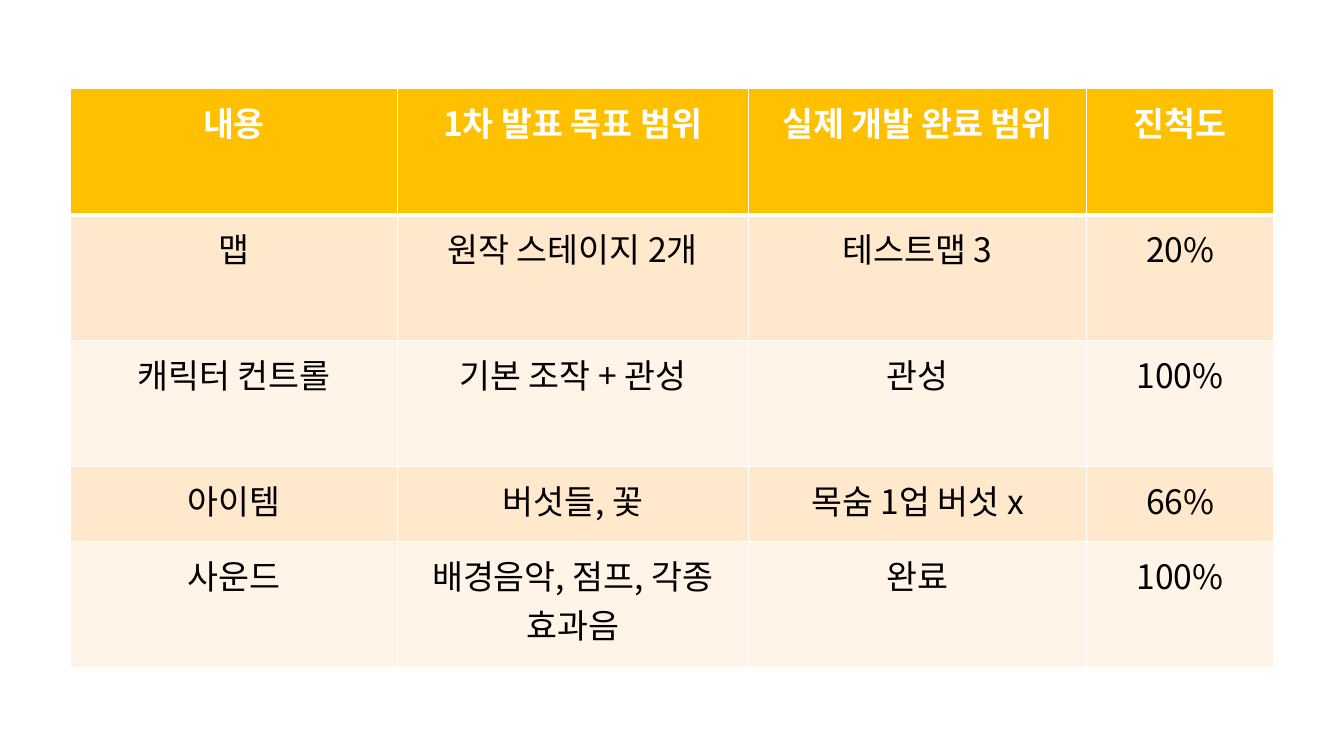
from lxml import etree
from pptx import Presentation
from pptx.dml.color import RGBColor
from pptx.enum.text import PP_ALIGN
from pptx.oxml.ns import qn
from pptx.util import Inches, Pt

CENTER = PP_ALIGN.CENTER
WHITE = RGBColor(0xFF, 0xFF, 0xFF)
BLACK = RGBColor(0, 0, 0)
GOLD = RGBColor(0xFF, 0xC0, 0x00)
PEACH = RGBColor(0xFF, 0xE8, 0xCC)
CREAM = RGBColor(0xFF, 0xF4, 0xE7)

WIDTHS = [3.24, 3.48, 3.36, 1.85]
HEIGHTS = [1.25, 1.25, 1.25, 0.74, 1.25]
ROWS = [
    ["내용", "1차 발표 목표 범위", "실제 개발 완료 범위", "진척도"],
    ["맵", "원작 스테이지 2개", "테스트맵 3", "20%"],
    ["캐릭터 컨트롤", "기본 조작 + 관성", "관성", "100%"],
    ["아이템", "버섯들, 꽃", "목숨 1업 버섯 x", "66%"],
    ["사운드", "배경음악, 점프, 각종 효과음", "완료", "100%"],
]


def write(frame, text, size=24, color=BLACK, bold=False, align=CENTER,
          face="Noto Sans CJK KR"):
    para = frame.paragraphs[0]
    para.alignment = align
    run = para.add_run()
    run.text = text
    font = run.font
    font.size, font.bold, font.name = Pt(size), bold, face
    font.color.rgb = color
    latin = run._r.rPr.find(qn("a:latin"))
    east = etree.Element(qn("a:ea"), typeface=face)
    latin.addnext(east)


class Deck:
    """The table's style and the slide it is put on."""

    head, bands, rule = GOLD, (PEACH, CREAM), WHITE

    def __init__(self, prs):
        self.slide = prs.slides.add_slide(prs.slide_layouts[6])

    def edge(self, cell, side, width):
        line = etree.SubElement(cell._tc.get_or_add_tcPr(), qn("a:ln" + side),
                                w=str(Pt(width)))
        fill = etree.SubElement(line, qn("a:solidFill"))
        etree.SubElement(fill, qn("a:srgbClr"), val=str(self.rule))

    def cell(self, cell, row, text):
        cell.margin_left = cell.margin_right = Inches(0.17)
        cell.margin_top = cell.margin_bottom = Inches(0.09)
        for side in "LRTB":
            thick = (row, side) in ((0, "B"), (1, "T"))
            self.edge(cell, side, 3 if thick else 1)
        cell.fill.solid()
        cell.fill.fore_color.rgb = self.bands[(row - 1) % 2] if row else self.head
        write(cell.text_frame, text, color=BLACK if row else WHITE, bold=not row)

    def table(self, left, top, widths, heights, rows):
        table = self.slide.shapes.add_table(
            len(heights), len(widths), Inches(left), Inches(top),
            Inches(sum(widths)), Inches(sum(heights))).table
        for col, width in zip(table.columns, widths):
            col.width = Inches(width)
        for row, height in zip(table.rows, heights):
            row.height = Inches(height)
        for r, texts in enumerate(rows):
            for c, text in enumerate(texts):
                self.cell(table.cell(r, c), r, text)


def main():
    prs = Presentation()
    prs.slide_width, prs.slide_height = Inches(13.33), Inches(7.5)
    Deck(prs).table(0.7, 0.88, WIDTHS, HEIGHTS, ROWS)
    prs.save("out.pptx")


if __name__ == "__main__":
    main()
